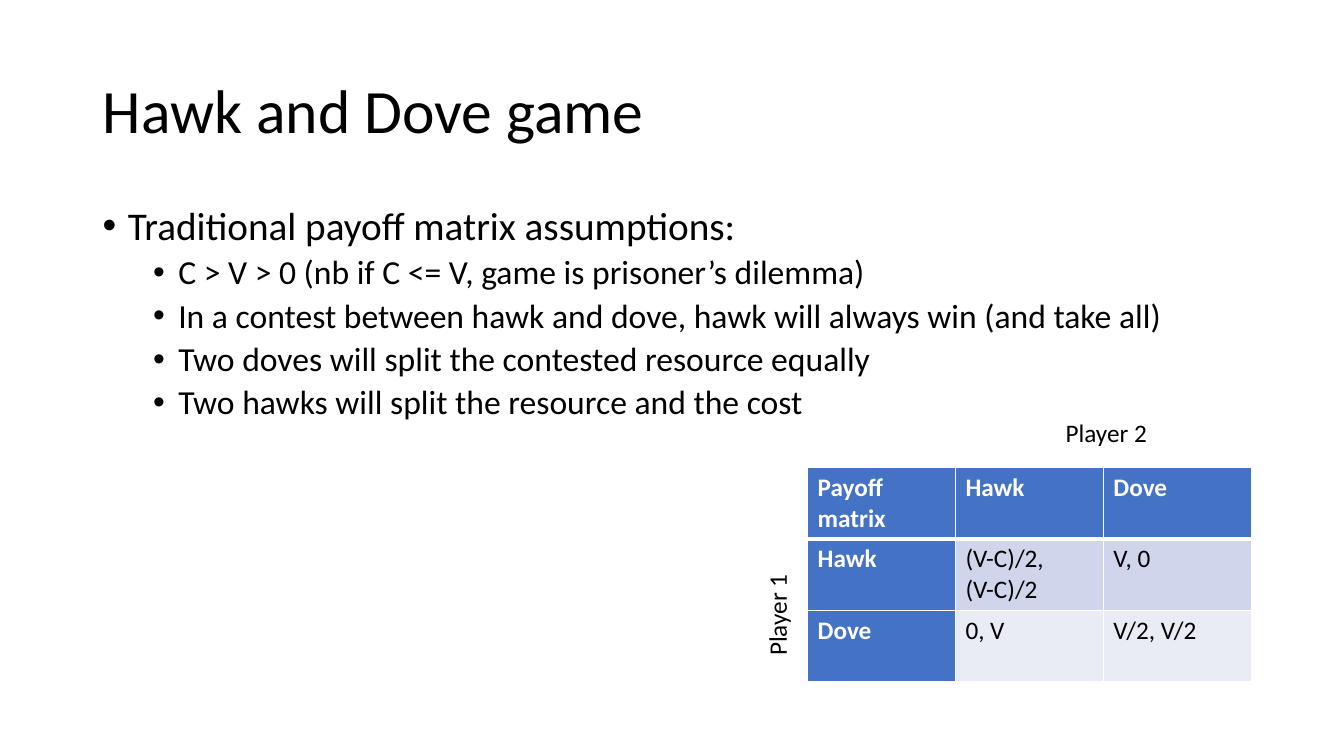
from typing import NamedTuple

from lxml.etree import SubElement
from pptx import Presentation
from pptx.dml.color import RGBColor
from pptx.enum.text import MSO_ANCHOR, PP_ALIGN
from pptx.oxml.ns import qn
from pptx.util import Inches, Pt

FONT = "Calibri"
BLACK, WHITE, BLUE = "000000", "FFFFFF", "4472C4"
BAND_FILLS = ["CFD5EA", "E9EBF5"]


class Bullet(NamedTuple):
    """One line of the list of assumptions."""
    text: str
    level: int = 1


class AxisLabel(NamedTuple):
    """A player's name beside the payoff matrix."""
    text: str
    left: float
    top: float
    rotation: int = 0


BULLETS = [
    Bullet("Traditional payoff matrix assumptions:", 0),
    Bullet("C > V > 0 (nb if C <= V, game is prisoner’s dilemma)"),
    Bullet("In a contest between hawk and dove, hawk will always win (and take all)"),
    Bullet("Two doves will split the contested resource equally"),
    Bullet("Two hawks will split the resource and the cost"),
]
PAYOFFS = [
    ["Payoff matrix", "Hawk", "Dove"],
    ["Hawk", "(V-C)/2, \n(V-C)/2", "V, 0"],
    ["Dove", "0, V", "V/2, V/2"],
]
AXIS_LABELS = [
    AxisLabel("Player 2", 10.47, 4.09),
    AxisLabel("Player 1", 7.15, 5.85, 270),
]


def rgb(value: str) -> RGBColor:
    """Turn a hex string into a colour."""
    return RGBColor.from_string(value)


def format_runs(paragraph, size: float, color: str = BLACK, bold: bool = False) -> None:
    """Set the font of every run in a paragraph."""
    for span in paragraph.runs:
        span.font.name = FONT
        span.font.size = Pt(size)
        span.font.bold = bold
        span.font.color.rgb = rgb(color)


def add_title(page, text: str) -> None:
    """Place and format the title placeholder."""
    title = page.shapes.title
    title.left, title.top = Inches(0.92), Inches(0.4)
    title.width, title.height = Inches(11.5), Inches(1.45)
    title.text_frame.text = text
    title.text_frame.vertical_anchor = MSO_ANCHOR.MIDDLE
    para = title.text_frame.paragraphs[0]
    para.alignment = PP_ALIGN.LEFT
    para.line_spacing = 0.9
    format_runs(para, 44)


def add_bullets(page, bullets: list[Bullet]) -> None:
    """Write the two-level bulleted list."""
    box = page.shapes.add_textbox(Inches(0.92), Inches(2), Inches(11.5), Inches(4.76))
    frame = box.text_frame
    frame.word_wrap = True
    frame.text = "\n".join(bullet.text for bullet in bullets)
    for para, bullet in zip(frame.paragraphs, bullets):
        para.level = bullet.level
        para.line_spacing = 0.9
        para.space_before = Pt(5 if bullet.level else 10)
        format_runs(para, 24 if bullet.level else 28)
        properties = para._p.get_or_add_pPr()
        properties.set("marL", str(Inches(0.25 + 0.5 * bullet.level)))
        properties.set("indent", str(Inches(-0.25)))
        SubElement(properties, qn("a:buFont"), typeface="Arial")
        SubElement(properties, qn("a:buChar"), char="•")


def set_border(cell, side: str, width: float) -> None:
    """Draw a white line on one side (L, R, T or B) of a cell."""
    properties = cell._tc.get_or_add_tcPr()
    line = SubElement(properties, qn(f"a:ln{side}"), w=str(Pt(width)))
    fill = SubElement(line, qn("a:solidFill"))
    SubElement(fill, qn("a:srgbClr"), val=WHITE)


def add_payoff_matrix(page, payoffs: list[list[str]]) -> None:
    """Draw the payoff table with blue headings and banded rows."""
    table = page.shapes.add_table(
        len(payoffs), len(payoffs[0]),
        Inches(8.01), Inches(4.64), Inches(4.4), Inches(2.12),
    ).table
    for row_index, texts in enumerate(payoffs):
        for column_index, text in enumerate(texts):
            cell = table.cell(row_index, column_index)
            heading = row_index == 0 or column_index == 0
            for side in "LRTB":
                under_header = (row_index, side) in [(0, "B"), (1, "T")]
                set_border(cell, side, 3 if under_header else 1)
            cell.fill.solid()
            cell.fill.fore_color.rgb = rgb(BLUE if heading else BAND_FILLS[row_index - 1])
            cell.text_frame.text = text
            for para in cell.text_frame.paragraphs:
                format_runs(para, 18, WHITE if heading else BLACK, heading)


def add_axis_label(page, label: AxisLabel) -> None:
    """Write a player's name, turned if needed."""
    box = page.shapes.add_textbox(
        Inches(label.left), Inches(label.top), Inches(1.11), Inches(0.4))
    box.rotation = label.rotation
    box.text_frame.word_wrap = True
    box.text_frame.text = label.text
    format_runs(box.text_frame.paragraphs[0], 18)


def main() -> None:
    """Build and save the slide."""
    deck = Presentation()
    deck.slide_width, deck.slide_height = Inches(13.33), Inches(7.5)
    page = deck.slides.add_slide(deck.slide_layouts.get_by_name("Title Only"))
    add_title(page, "Hawk and Dove game")
    add_bullets(page, BULLETS)
    add_payoff_matrix(page, PAYOFFS)
    for label in AXIS_LABELS:
        add_axis_label(page, label)
    deck.save("out.pptx")


main()
